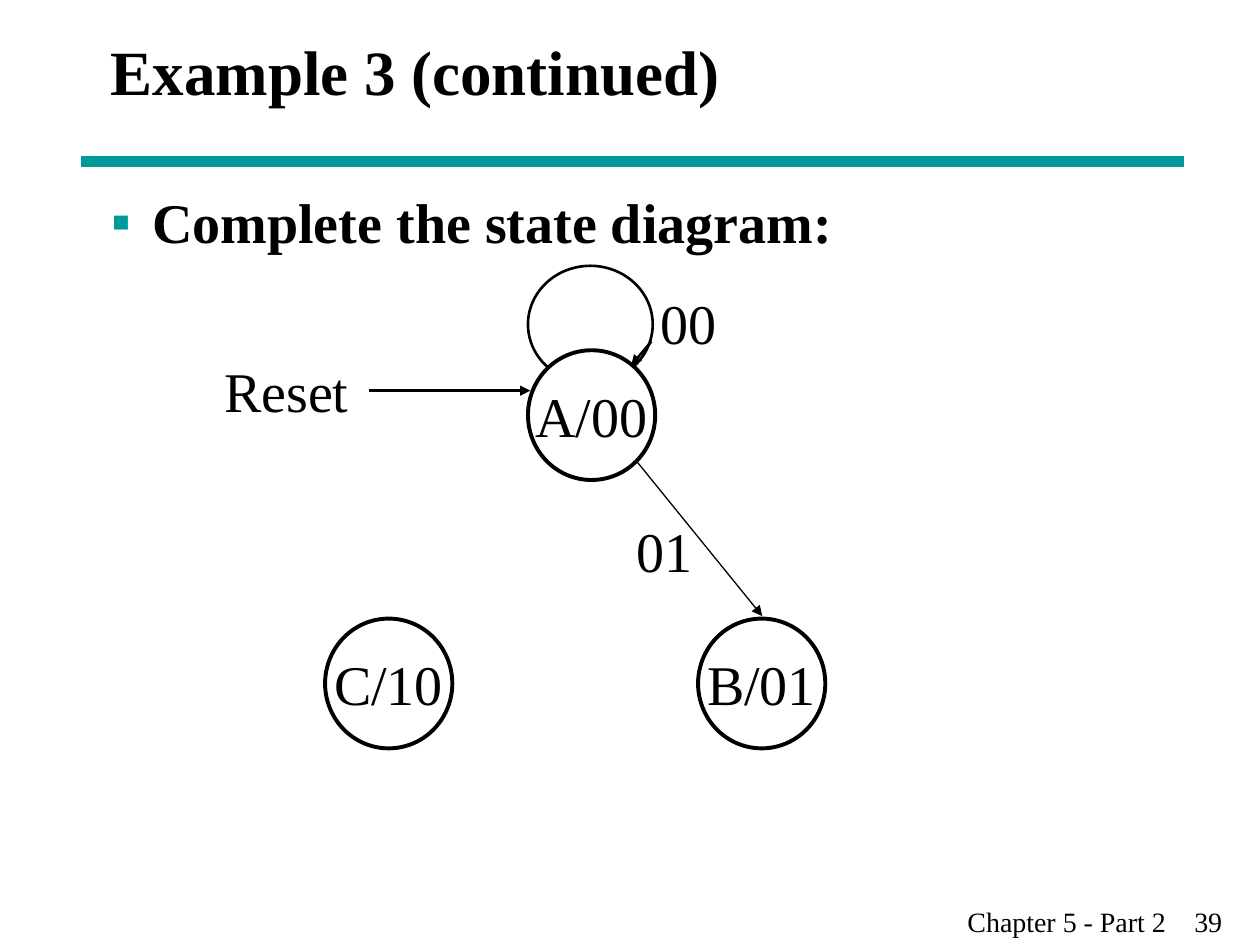
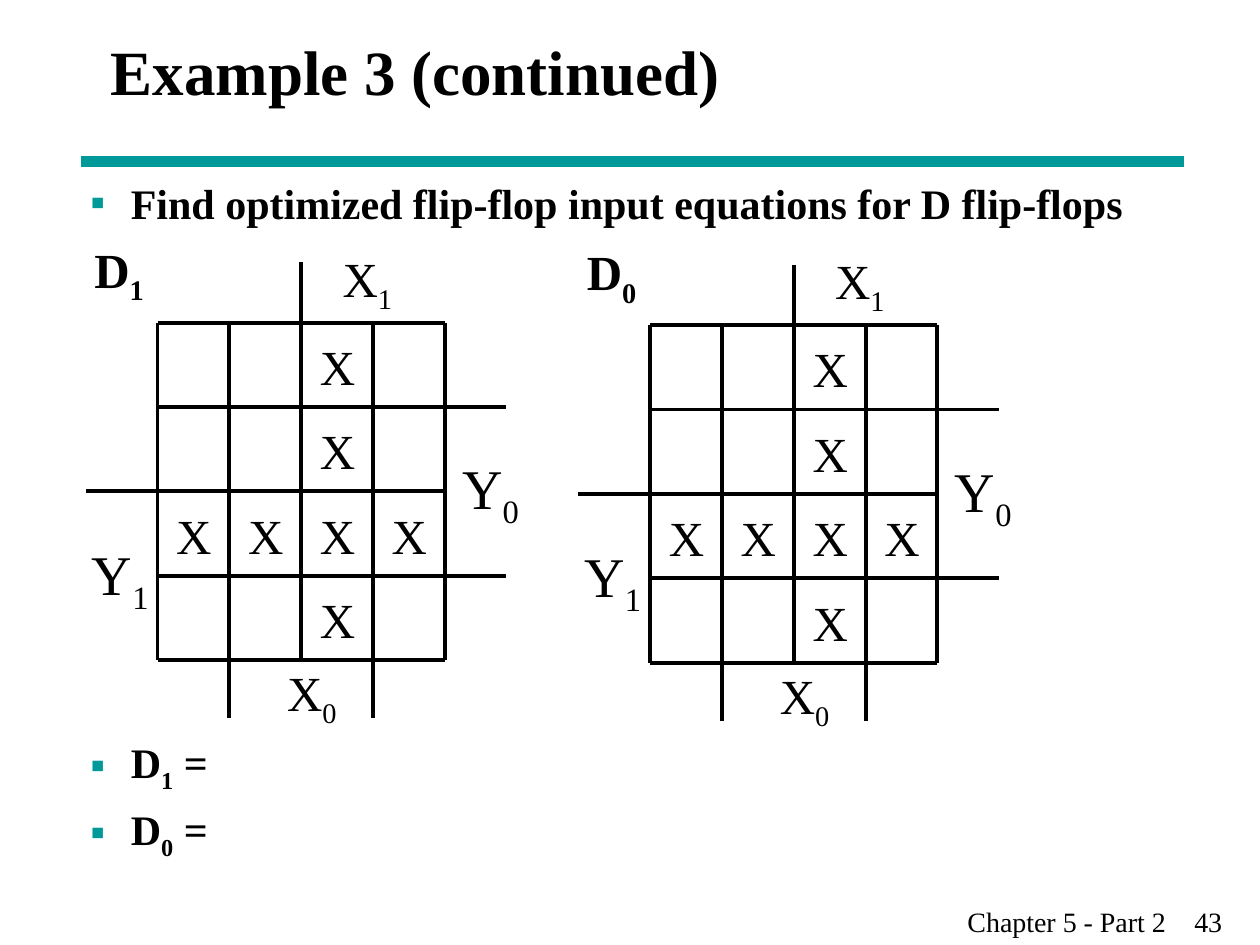
import dataclasses
import typing

import lxml.etree
import pptx
import pptx.dml.color
import pptx.enum.shapes
import pptx.enum.text
import pptx.oxml.ns
import pptx.util

SCALE = 9144  # EMU per px, 100 px to the inch
COLORS = {"ink": "000000", "teal": "009999", "paper": "FFFFFF"}
FACE = "Times New Roman"
FRAME = {
    "word_wrap": True,
    "margin_left": 10 * SCALE,
    "margin_right": 0,
    "margin_top": 5 * SCALE,
    "margin_bottom": 5 * SCALE,
    "vertical_anchor": pptx.enum.text.MSO_ANCHOR.TOP,
}
MIDDLE = {"vertical_anchor": pptx.enum.text.MSO_ANCHOR.MIDDLE}
COL, ROW, CELLS = 57, 67, 4


@dataclasses.dataclass
class Label:
    """Text in which every second part between bars is a subscript."""
    text: str
    left: int
    top: int
    width: int
    height: int
    size: int = 32
    bold: bool = False


@dataclasses.dataclass
class Line:
    start: tuple[int, int]
    end: tuple[int, int]
    weight: float = 2.25
    color: str = "ink"
    arrow: bool = False


@dataclasses.dataclass
class State:
    left: int
    top: int
    text: str = ""
    width: int = 101
    height: int = 103
    weight: float = 2.25
    filled: bool = False


@dataclasses.dataclass
class Map:
    """A four by four Karnaugh map with its upper left corner and marked cells."""
    name: str
    left: int
    top: int
    marks: list[tuple[int, int]]


def paint(color: str) -> pptx.dml.color.RGBColor:
    return pptx.dml.color.RGBColor.from_string(COLORS[color])


def assign(target: typing.Any, values: dict[str, typing.Any]) -> None:
    for name, value in values.items():
        setattr(target, name, value)


def append(parent: typing.Any, tag: str, **values: str) -> typing.Any:
    return lxml.etree.SubElement(parent, pptx.oxml.ns.qn(tag), values)


def write(para: typing.Any, text: str, size: int, bold: bool = False) -> None:
    for index, part in enumerate(text.split("|")):
        run = para.add_run()
        run.text = part
        assign(run.font, {"name": FACE, "size": pptx.util.Pt(size), "bold": bold})
        run.font.color.rgb = paint("ink")
        if index % 2:
            run.font._element.set("baseline", "-25000")


def add_label(slide: typing.Any, label: Label, **frame: typing.Any) -> typing.Any:
    box = slide.shapes.add_textbox(
        *(n * SCALE for n in (label.left, label.top, label.width, label.height)))
    assign(box.text_frame, FRAME | frame)
    para = box.text_frame.paragraphs[0]
    write(para, label.text, label.size, label.bold)
    return para


def add_bullet(slide: typing.Any, label: Label) -> None:
    props = add_label(slide, label)._p.get_or_add_pPr()
    assign_indent = {"marL": str(32 * SCALE), "indent": str(-32 * SCALE)}
    for name, value in assign_indent.items():
        props.set(name, value)
    append(append(props, "a:buClr"), "a:srgbClr", val=COLORS["teal"])
    append(props, "a:buFont", typeface=FACE)
    append(props, "a:buChar", char="▪")


def add_line(slide: typing.Any, line: Line) -> None:
    link = slide.shapes.add_connector(
        pptx.enum.shapes.MSO_CONNECTOR.STRAIGHT,
        *(n * SCALE for n in line.start + line.end))
    link.line.width = pptx.util.Pt(line.weight)
    link.line.color.rgb = paint(line.color)
    if line.arrow:
        append(link.line._get_or_add_ln(), "a:tailEnd", type="triangle")
    append(link._element.spPr, "a:effectLst")


def add_state(slide: typing.Any, state: State) -> None:
    oval = slide.shapes.add_shape(
        pptx.enum.shapes.MSO_SHAPE.OVAL,
        *(n * SCALE for n in (state.left, state.top, state.width, state.height)))
    oval.shadow.inherit = False
    if state.filled:
        oval.fill.solid()
        oval.fill.fore_color.rgb = paint("paper")
    else:
        oval.fill.background()
    oval.line.width = pptx.util.Pt(state.weight)
    oval.line.color.rgb = paint("ink")
    if state.text:
        assign(oval.text_frame,
               FRAME | MIDDLE | {"word_wrap": False, "margin_right": 10 * SCALE})
        para = oval.text_frame.paragraphs[0]
        para.alignment = pptx.enum.text.PP_ALIGN.CENTER
        write(para, state.text, 32)


def add_map(slide: typing.Any, grid: Map) -> None:
    left, top = grid.left, grid.top
    right, base = left + CELLS * COL, top + CELLS * ROW
    # How far each rule runs past the grid: before it, after it
    for row, (before, after) in enumerate([(0, 0), (0, 49), (57, 0), (0, 49), (0, 0)]):
        y = top + row * ROW
        add_line(slide, Line((left - before, y), (right + after, y)))
    for col, (before, after) in enumerate([(0, 0), (0, 46), (48, 0), (0, 46), (0, 0)]):
        x = left + col * COL
        add_line(slide, Line((x, top - before), (x, base + after)))
    labels = [
        Label(grid.name, left - 60, top - 71, 74, 63, 28, True),
        Label("X|1", left + 137, top - 64, 59, 63, 28),
        Label("X|0", left + 93, top + 265, 59, 63, 28),
        Label("Y|0", left + 232, top + 99, 65, 71),
        Label("Y|1", left - 62, top + 167, 65, 71),
    ]
    labels += [Label("X", left + 5 + col * COL, top + 6 + row * ROW, 49, 57, 28)
               for row, col in grid.marks]
    for label in labels:
        add_label(slide, label)


def add_page(deck: typing.Any, number: int) -> typing.Any:
    slide = deck.slides.add_slide(deck.slide_layouts[6])
    add_line(slide, Line((64, 128), (940, 128), 6, "teal"))
    foot = add_label(slide, Label(f"Chapter 5 - Part 2\t{number}", 758, 713, 242, 37, 16))
    tabs = append(foot._p.get_or_add_pPr(), "a:tabLst")
    append(tabs, "a:tab", pos=str(180 * SCALE), algn="l")
    add_label(slide, Label("Example 3 (continued)", 78, 0, 850, 112, 36, True), **MIDDLE)
    return slide


def draw_states(deck: typing.Any) -> None:
    slide = add_page(deck, 39)
    add_bullet(slide, Label("Complete the state diagram:", 79, 144, 850, 60, 32, True))
    add_state(slide, State(419, 211, width=99, height=93, weight=1.5))
    add_line(slide, Line((517, 271), (501, 290), 1.5, arrow=True))
    for state in (State(419, 278, "A/00", filled=True),
                  State(554, 491, "B/01"),
                  State(258, 491, "C/10")):
        add_state(slide, state)
    for label in (Label("00", 514, 224, 65, 64),
                  Label("01", 495, 405, 65, 64),
                  Label("Reset", 168, 278, 125, 64)):
        add_label(slide, label)
    add_line(slide, Line((293, 310), (421, 310), 1.5, arrow=True))
    add_line(slide, Line((506, 367), (605, 489), 0.75, arrow=True))


def draw_maps(deck: typing.Any) -> None:
    slide = add_page(deck, 43)
    task = "Find optimized flip-flop input equations for D flip-flops"
    for text, top in ((task, 136), ("D|1| =", 580), ("D|0| =", 633)):
        add_bullet(slide, Label(text, 62, top, 896, 50, 24, True))
    marks = [(0, 2), (1, 2), (3, 2)] + [(2, col) for col in range(CELLS)]
    add_map(slide, Map("D|1", 125, 256, marks))
    add_map(slide, Map("D|0", 516, 258, marks))


def main() -> None:
    deck = pptx.Presentation()
    assign(deck, {"slide_width": 1000 * SCALE, "slide_height": 750 * SCALE})
    draw_states(deck)
    draw_maps(deck)
    deck.save("out.pptx")


if __name__ == "__main__":
    main()
